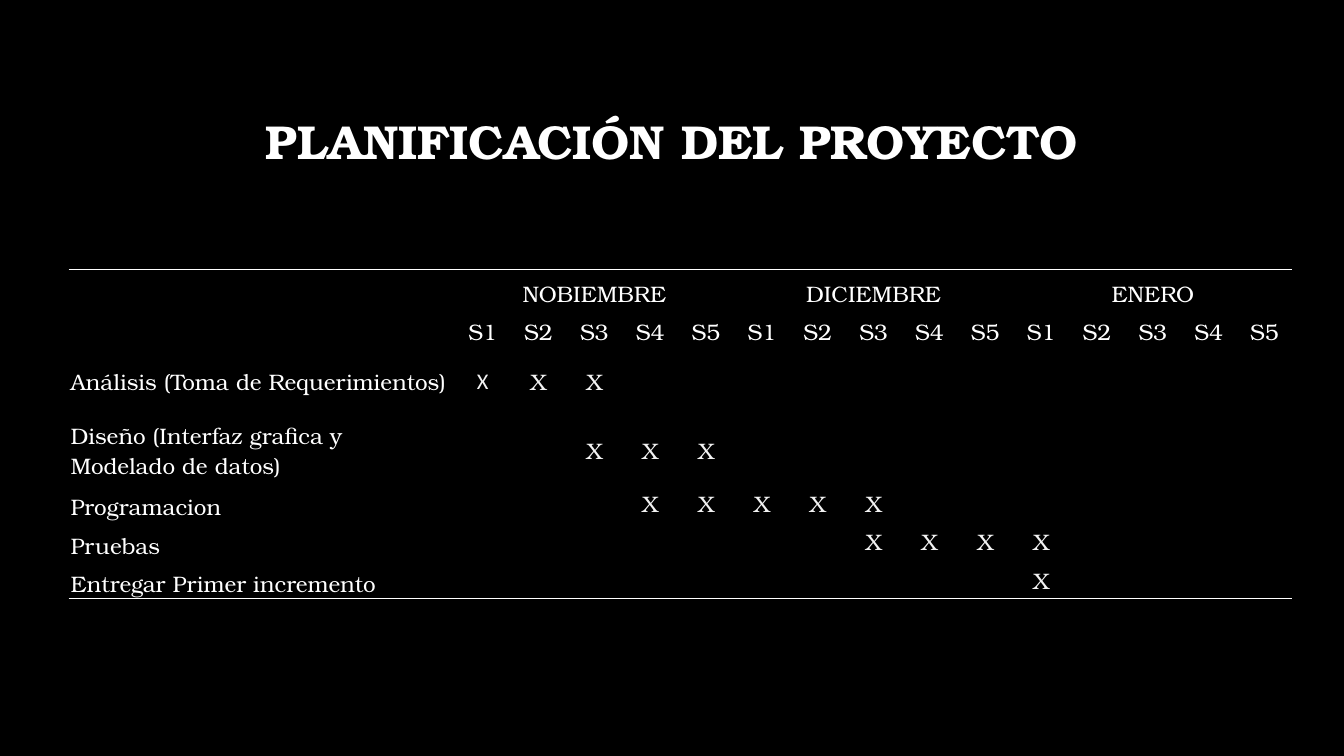
from dataclasses import dataclass

from lxml import etree
from pptx import Presentation
from pptx.dml.color import RGBColor
from pptx.enum.shapes import MSO_SHAPE
from pptx.enum.text import MSO_ANCHOR, PP_ALIGN
from pptx.oxml.ns import qn
from pptx.util import Inches, Pt

RECT = MSO_SHAPE.RECTANGLE
LEFT, CENTER = PP_ALIGN.LEFT, PP_ALIGN.CENTER
MIDDLE, BOTTOM = MSO_ANCHOR.MIDDLE, MSO_ANCHOR.BOTTOM


@dataclass(frozen=True)
class Theme:
    back: str = "000000"
    text: str = "FFFFFF"
    mark: str = "F2F2F2"
    font: str = "TeX Gyre Bonum"
    plain: str = "Calibri"
    title: int = 34
    body: int = 16
    rule: int = 1


THEME = Theme()
WIDE, HIGH = 13.33, 7.5
MONTHS = ["NOBIEMBRE", "DICIEMBRE", "ENERO"]
WEEKS = 5
SPAN = len(MONTHS) * WEEKS
LABEL = 3.83
ROWS = [0.38, 0.38, 0.68, 0.68, 0.38, 0.38, 0.38]
# Task, first week, last week, anchor of the label
TASKS = [
    ("Análisis (Toma de Requerimientos)", 1, 3, MIDDLE),
    ("Diseño (Interfaz grafica y Modelado de datos)", 3, 5, MIDDLE),
    ("Programacion", 4, 8, BOTTOM),
    ("Pruebas", 8, 11, BOTTOM),
    ("Entregar Primer incremento", 11, 11, BOTTOM),
]


def write(frame, text, size=THEME.body, font=THEME.font, color=THEME.text,
          bold=False, align=CENTER, space=None):
    para = frame.paragraphs[0]
    para.alignment = align
    if space:
        para.line_spacing = space
    run = para.add_run()
    run.text = text
    run.font.size = Pt(size)
    run.font.name = font
    run.font.bold = bold
    run.font.color.rgb = RGBColor.from_string(color)


def edge(cell, sides):
    """Draw the named sides (of L, R, T, B) and clear the others."""
    props = cell._tc.get_or_add_tcPr()
    for side in "LRTB":
        line = etree.SubElement(props, qn(f"a:ln{side}"), w=str(Pt(THEME.rule)))
        if side in sides:
            fill = etree.SubElement(line, qn("a:solidFill"))
            etree.SubElement(fill, qn("a:srgbClr"), val=THEME.text)
        else:
            etree.SubElement(line, qn("a:noFill"))


def add_title(slide, box):
    title = slide.shapes.title
    title.left, title.top, title.width, title.height = map(Inches, box)
    title.text_frame.word_wrap = True
    title.text_frame.vertical_anchor = MIDDLE
    write(title.text_frame, "PLANIFICACIÓN DEL PROYECTO",
          size=THEME.title, bold=True, space=0.9)


def add_panel(slide, box):
    panel = slide.shapes.add_shape(RECT, *map(Inches, box))
    panel.shadow.inherit = False
    panel.line.fill.background()
    panel.fill.solid()
    panel.fill.fore_color.rgb = RGBColor.from_string(THEME.back)
    color = panel._element.spPr.find(f".//{qn('a:srgbClr')}")
    etree.SubElement(color, qn("a:alpha"), val="50000")


def add_grid(slide, box):
    """Make the bare table: sizes, insets and outer rules."""
    table = slide.shapes.add_table(len(ROWS), SPAN + 1, *map(Inches, box)).table
    table.first_row = table.horz_banding = False
    week = (box[2] - LABEL) / SPAN
    for col, width in zip(table.columns, [LABEL] + [week] * SPAN):
        col.width = Inches(width)
    rules = {0: "T", len(ROWS) - 1: "B"}
    for i, height in enumerate(ROWS):
        table.rows[i].height = Inches(height)
        for cell in table.rows[i].cells:
            cell.margin_left = cell.margin_right = cell.margin_top = Inches(0.02)
            cell.margin_bottom = 0
            edge(cell, rules.get(i, ""))
            cell.fill.background()
    return table


def add_plan(slide, box):
    table = add_grid(slide, box)

    def put(row, col, text, anchor, **form):
        cell = table.cell(row, col)
        cell.vertical_anchor = anchor
        write(cell.text_frame, text, **form)

    for i, month in enumerate(MONTHS):
        first = 1 + i * WEEKS
        table.cell(0, first).merge(table.cell(0, first + WEEKS - 1))
        put(0, first, month, BOTTOM)
        for week in range(WEEKS):
            put(1, first + week, f"S{week + 1}", BOTTOM)
    for row, (task, start, end, anchor) in enumerate(TASKS, 2):
        put(row, 0, task, anchor, align=LEFT)
        for week in range(start, end + 1):
            font = THEME.plain if week == 1 else THEME.font
            put(row, week, "X", MIDDLE, font=font, color=THEME.mark)


def main():
    deck = Presentation()
    deck.slide_width, deck.slide_height = Inches(WIDE), Inches(HIGH)
    slide = deck.slides.add_slide(deck.slide_layouts[5])
    slide.background.fill.solid()
    slide.background.fill.fore_color.rgb = RGBColor.from_string(THEME.back)
    side, top = 0.076 * WIDE, 0.305 * HIGH
    add_title(slide, (side, 0.12 * HIGH, WIDE - 2 * side, 0.14 * HIGH))
    add_panel(slide, (0, top, WIDE, HIGH - top))
    add_plan(slide, (0.051 * WIDE, 0.357 * HIGH, 0.911 * WIDE, sum(ROWS)))
    deck.save("out.pptx")


if __name__ == "__main__":
    main()
